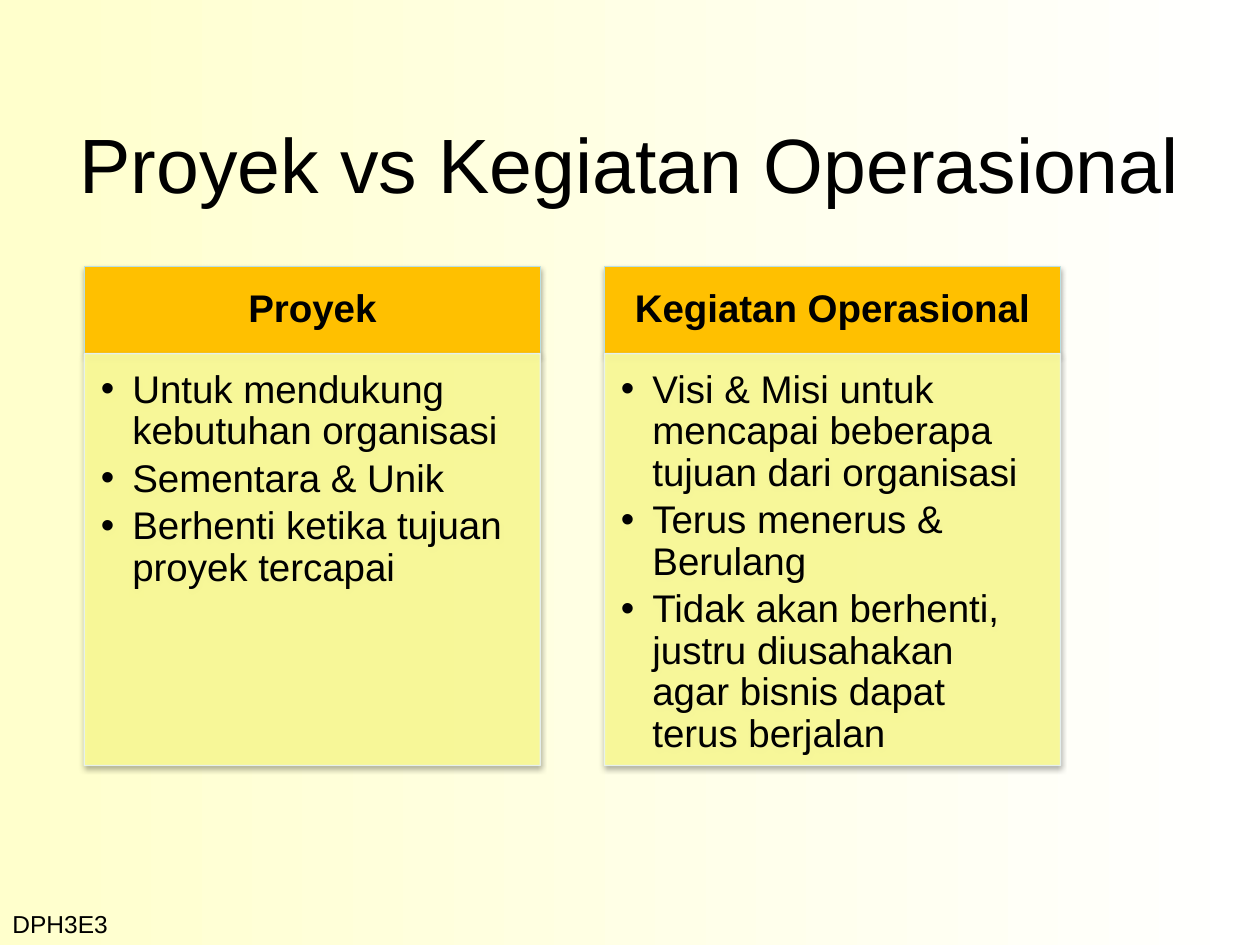
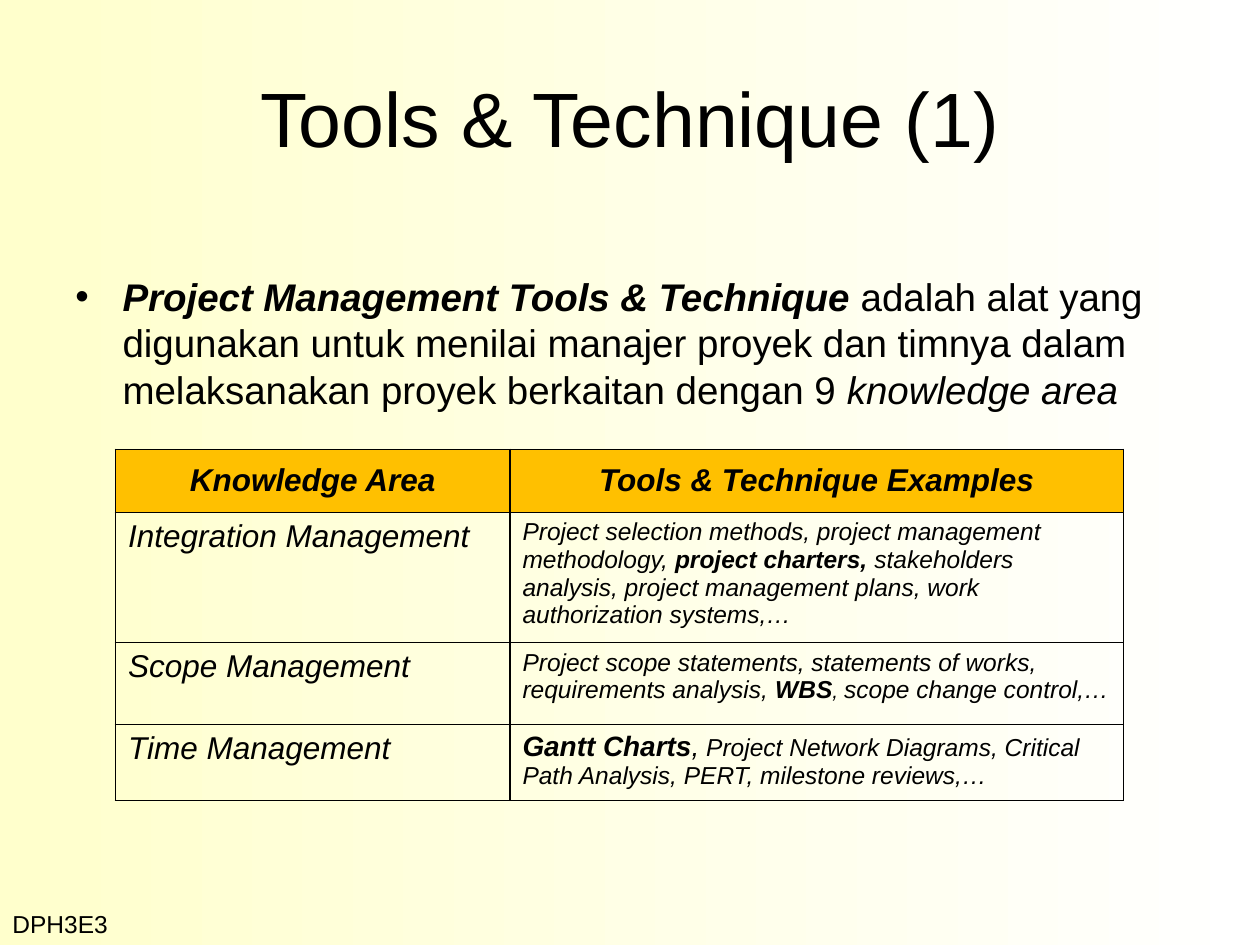
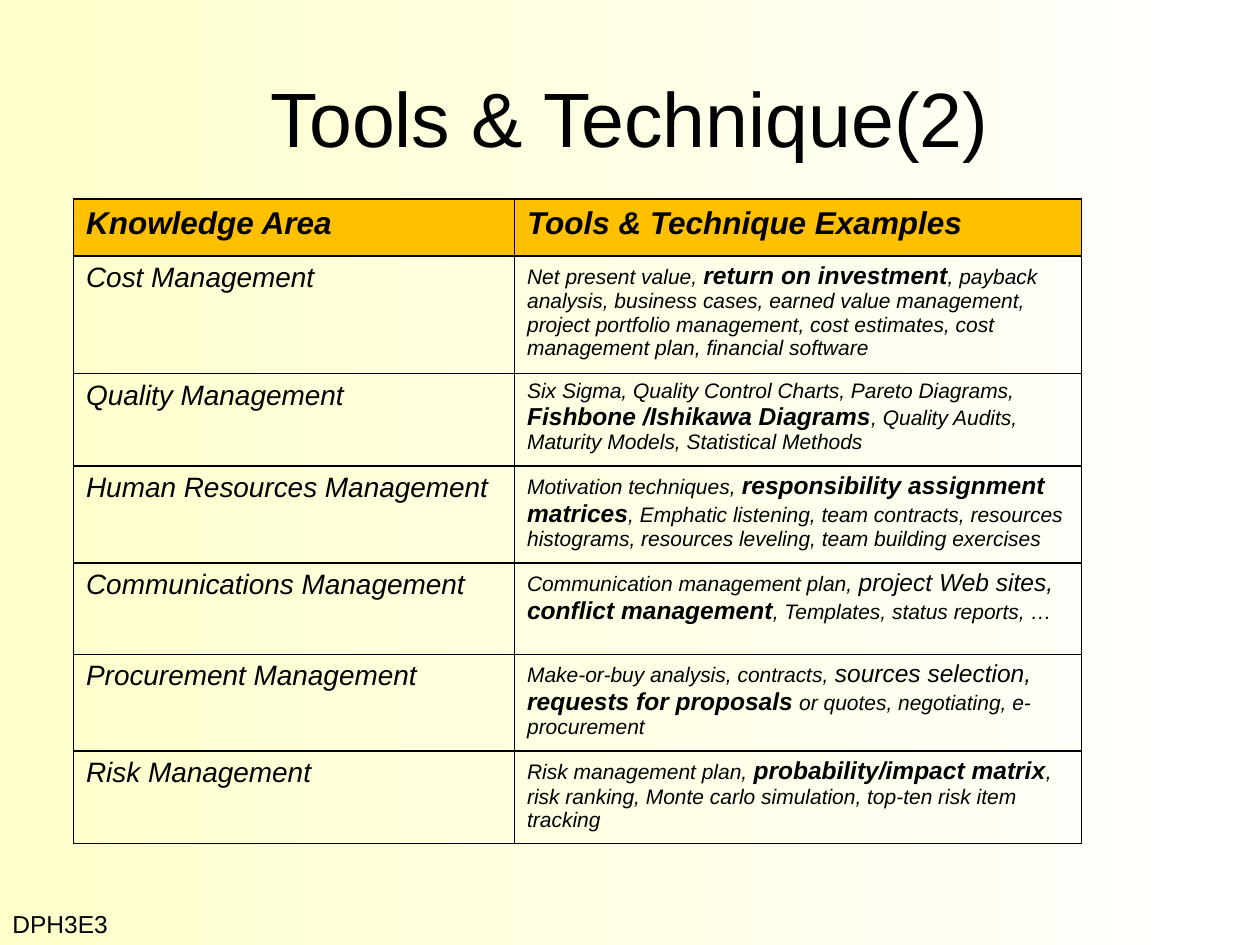
from dataclasses import dataclass

from lxml import etree
from pptx import Presentation
from pptx.dml.color import RGBColor
from pptx.enum import shapes, text
from pptx.oxml import ns
from pptx.util import Pt

COLORS = {
    "ink": "000000",
    "cream": "FFFFCC",
    "white": "FFFFFF",
    "header": "FFC000",
    "panel": "FFFF99",
    "header_line": "BBE0E3",
    "panel_line": "E7F3F4",
}
FONT = "Arial"
LEFT, CENTER = text.PP_ALIGN.LEFT, text.PP_ALIGN.CENTER
TOP, MIDDLE = text.MSO_ANCHOR.TOP, text.MSO_ANCHOR.MIDDLE


@dataclass(frozen=True)
class Box:
    x: float
    y: float
    w: float
    h: float

    def lengths(self) -> list:
        return [Pt(v) for v in (self.x, self.y, self.w, self.h)]


@dataclass(frozen=True)
class Run:
    text: str
    size: float
    bold: bool = False
    italic: bool = False


@dataclass(frozen=True)
class Panel:
    heading: str
    points: list[str]


@dataclass(frozen=True)
class Area:
    name: str
    height: float
    examples: list[Run]


@dataclass(frozen=True)
class AreaTable:
    box: Box
    widths: tuple[float, float]
    header_height: float
    header_align: int
    header_anchor: int
    name_size: float
    areas: list[Area]


def rgb(name: str) -> RGBColor:
    return RGBColor.from_string(COLORS[name])


def sub(parent, tag: str, **attrs):
    el = etree.SubElement(parent, ns.qn(tag))
    for key, value in attrs.items():
        el.set(key, str(value))
    return el


def em(value: str, size: float = 14, bold: bool = False) -> Run:
    return Run(value, size, bold, True)


def add_runs(p, runs: list[Run], align: int = LEFT) -> None:
    p.alignment = align
    for run in runs:
        r = p.add_run()
        r.text = run.text
        r.font.name = FONT
        r.font.size = Pt(run.size)
        r.font.bold = run.bold
        r.font.italic = run.italic
        r.font.color.rgb = rgb("ink")


def add_bullet(p, indent: float) -> None:
    pPr = p._p.get_or_add_pPr()
    pPr.set("marL", str(Pt(indent)))
    pPr.set("indent", str(-Pt(indent)))
    sub(pPr, "a:buFont", typeface=FONT)
    sub(pPr, "a:buChar", char="•")


def set_frame(tf, anchor: int, margins: tuple = (7.2, 3.6, 7.2, 3.6)) -> None:
    tf.word_wrap = True
    tf.vertical_anchor = anchor
    tf.margin_left, tf.margin_top, tf.margin_right, tf.margin_bottom = map(Pt, margins)


def add_text(s, box: Box, runs: list[Run], align: int = LEFT, anchor: int = TOP):
    tf = s.shapes.add_textbox(*box.lengths()).text_frame
    set_frame(tf, anchor)
    add_runs(tf.paragraphs[0], runs, align)
    return tf.paragraphs[0]


def add_slide(prs, title: str, title_top: float = 21.6):
    s = prs.slides.add_slide(prs.slide_layouts[6])
    fill = s.background.fill
    fill.gradient()
    fill.gradient_angle = 0
    for stop, color in zip(fill.gradient_stops, ("cream", "white")):
        stop.color.rgb = rgb(color)
    add_text(s, Box(36, title_top, 648, 90), [Run(title, 44)], CENTER, MIDDLE)
    add_text(s, Box(0, 516, 492, 24), [Run("DPH3E3", 14)])
    return s


def add_card(s, box: Box, fill: str, line: str, opacity: int = 100):
    sp = s.shapes.add_shape(shapes.MSO_SHAPE.RECTANGLE, *box.lengths())
    sp.fill.solid()
    sp.fill.fore_color.rgb = rgb(fill)
    sp.line.color.rgb = rgb(line)
    sp.line.width = Pt(0.75)
    sp.shadow.inherit = False
    spPr = sp._element.spPr
    if opacity < 100:
        for color in list(spPr.iter(ns.qn("a:srgbClr"))):
            sub(color, "a:alpha", val=opacity * 1000)
    shadow = sub(spPr.find(ns.qn("a:effectLst")), "a:outerShdw", blurRad=Pt(3.1),
                 dist=Pt(1.8), dir=90 * 60000, rotWithShape=0)
    sub(sub(shadow, "a:srgbClr", val=COLORS["ink"]), "a:alpha", val=35000)
    return sp


def add_panel(s, x: float, panel: Panel) -> None:
    top, width, head, body, size = 152.2, 260.6, 49.9, 235.4, 22
    sp = add_card(s, Box(x, top, width, head), "header", "header_line")
    set_frame(sp.text_frame, MIDDLE, (12.2, 7.2, 12.2, 7.2))
    p = sp.text_frame.paragraphs[0]
    add_runs(p, [Run(panel.heading, size, True)], CENTER)
    p.line_spacing = 0.9

    sp = add_card(s, Box(x, top + head, width, body), "panel", "panel_line", 90)
    tf = sp.text_frame
    set_frame(tf, TOP, (9.4, 9.4, 12.2, 13.7))
    for i, point in enumerate(panel.points):
        p = tf.add_paragraph() if i else tf.paragraphs[0]
        add_runs(p, [Run(point, size)])
        p.line_spacing = 0.9
        p.space_after = Pt(0.15 * size)
        add_bullet(p, 18)


def fill_cell(cell, runs: list[Run], align: int = LEFT, anchor: int = TOP,
              fill: str = "") -> None:
    cell.vertical_anchor = anchor
    add_runs(cell.text_frame.paragraphs[0], runs, align)
    if fill:
        cell.fill.solid()
        cell.fill.fore_color.rgb = rgb(fill)
    else:
        cell.fill.background()
    tcPr = cell._tc.get_or_add_tcPr()
    for i, side in enumerate(("a:lnL", "a:lnR", "a:lnT", "a:lnB")):
        ln = sub(tcPr, side, w=Pt(1))
        sub(sub(ln, "a:solidFill"), "a:srgbClr", val=COLORS["ink"])
        tcPr.insert(i, ln)


def add_area_table(s, spec: AreaTable) -> None:
    heights = [spec.header_height] + [area.height for area in spec.areas]
    tbl = s.shapes.add_table(len(heights), 2, *spec.box.lengths()).table
    tbl.horz_banding = False
    for col, width in zip(tbl.columns, spec.widths):
        col.width = Pt(width)
    for row, height in zip(tbl.rows, heights):
        row.height = Pt(height)
    for i, label in enumerate(("Knowledge Area", "Tools & Technique Examples")):
        fill_cell(tbl.cell(0, i), [em(label, 18, True)],
                  spec.header_align, spec.header_anchor, "header")
    for i, area in enumerate(spec.areas, 1):
        fill_cell(tbl.cell(i, 0), [em(area.name, spec.name_size)])
        fill_cell(tbl.cell(i, 1), area.examples)


PANELS = [
    Panel("Proyek", [
        "Untuk mendukung kebutuhan organisasi",
        "Sementara & Unik",
        "Berhenti ketika tujuan proyek tercapai",
    ]),
    Panel("Kegiatan Operasional", [
        "Visi & Misi untuk mencapai beberapa tujuan dari organisasi",
        "Terus menerus & Berulang",
        "Tidak akan berhenti, justru diusahakan agar bisnis dapat terus berjalan",
    ]),
]

CORE_AREAS = AreaTable(
    Box(66, 256.8, 576, 200.2), (225.4, 350.6), 36, CENTER, MIDDLE, 18, [
        Area("Integration Management", 74.2, [
            em("Project selection methods, project management methodology, "),
            em("project charters, ", bold=True),
            em("stakeholders analysis, project management plans, "
               "work authorization systems,…"),
        ]),
        Area("Scope Management", 46.8, [
            em("Project scope statements, statements of works, requirements analysis, "),
            em("WBS", bold=True),
            em(", ", 12),
            em("scope change control,…"),
        ]),
        Area("Time Management", 43.2, [
            em("Gantt Charts", 16, True),
            em(",", 16),
            em(" Project Network Diagrams, Critical Path Analysis, PERT, "
               "milestone reviews,…"),
        ]),
    ])

OTHER_AREAS = AreaTable(
    Box(42, 113.8, 576, 367.6), (252, 324), 32.4, LEFT, TOP, 16, [
        Area("Cost Management", 67, [
            em("Net present value, ", 12),
            em("return on investment", bold=True),
            em(", payback analysis, business cases, earned value management, "
               "project portfolio management, cost estimates, cost management plan, "
               "financial software", 12),
        ]),
        Area("Quality Management", 52.6, [
            em("Six Sigma, Quality Control Charts, Pareto Diagrams, ", 12),
            em("Fishbone /Ishikawa Diagrams", bold=True),
            em(", Quality Audits, Maturity Models, Statistical Methods", 12),
        ]),
        Area("Human Resources Management", 55.4, [
            em("Motivation techniques, ", 12),
            em("responsibility assignment matrices", bold=True),
            em(", Emphatic listening, team contracts, resources histograms, "
               "resources leveling, team building exercises", 12),
        ]),
        Area("Communications Management", 52.2, [
            em("Communication management plan, ", 12),
            em("project Web sites, "),
            em("conflict management", bold=True),
            em(", Templates, status reports, …", 12),
        ]),
        Area("Procurement Management", 55.4, [
            em("Make-or-buy analysis, contracts, ", 12),
            em("sources selection, "),
            em("requests for proposals", bold=True),
            em(" or quotes, negotiating, e-procurement", 12),
        ]),
        Area("Risk Management", 52.6, [
            em("Risk management plan, ", 12),
            em("probability/impact matrix", bold=True),
            em(", risk ranking, Monte carlo simulation, top-ten risk item tracking", 12),
        ]),
    ])


def main() -> None:
    prs = Presentation()
    prs.slide_width, prs.slide_height = Pt(720), Pt(540)

    s = add_slide(prs, "Proyek vs Kegiatan Operasional", 48)
    for i, panel in enumerate(PANELS):
        add_panel(s, 48.2 + i * 297.2, panel)

    s = add_slide(prs, "Tools & Technique (1)")
    p = add_text(s, Box(36, 152.6, 648, 117.4), [
        Run("Project Management Tools & Technique", 22, True, True),
        Run(" adalah alat yang digunakan untuk menilai manajer proyek dan timnya "
            "dalam melaksanakan proyek berkaitan dengan 9 ", 22),
        em("knowledge area", 22),
    ])
    p.space_before = Pt(4.4)
    add_bullet(p, 27)
    add_area_table(s, CORE_AREAS)

    s = add_slide(prs, "Tools & Technique(2)")
    add_area_table(s, OTHER_AREAS)

    prs.save("out.pptx")


main()
